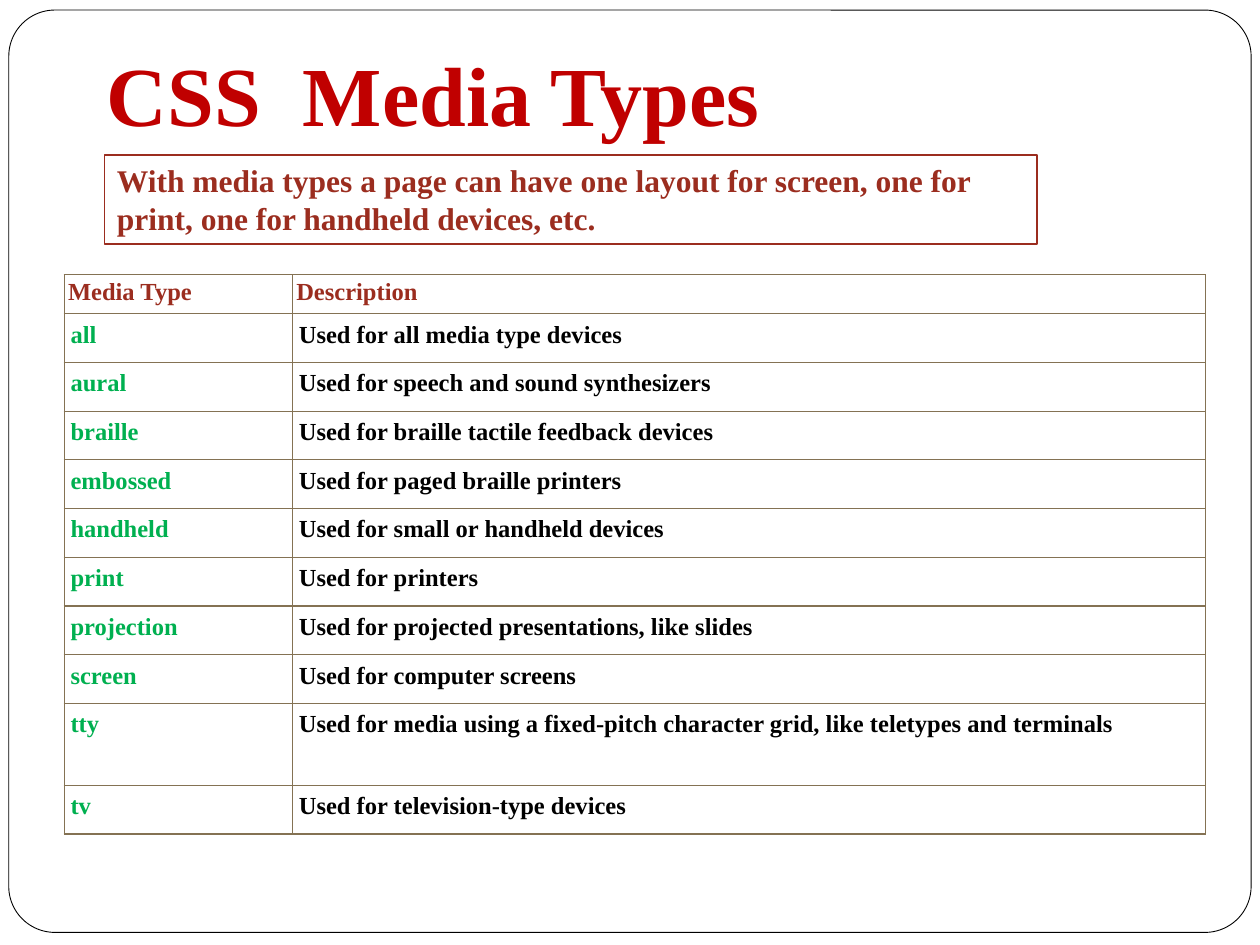
from lxml.etree import SubElement
from pptx import Presentation
from pptx.dml.color import RGBColor
from pptx.enum.shapes import MSO_SHAPE
from pptx.enum.text import MSO_ANCHOR, PP_ALIGN
from pptx.oxml import parse_xml
from pptx.oxml.ns import nsdecls, qn
from pptx.util import Inches, Pt

COLORS = {
    "white": "FFFFFF", "black": "000000", "title": "C00000", "outline": "B41A06",
    "brick": "9B2D1F", "green": "00B050", "border": "847253",
}
MEDIA_TYPES = [
    ("Media Type", "Description"),
    ("all", "Used for all media type devices"),
    ("aural", "Used for speech and sound synthesizers"),
    ("braille", "Used for braille tactile feedback devices"),
    ("embossed", "Used for paged braille printers"),
    ("handheld", "Used for small or handheld devices"),
    ("print", "Used for printers"),
    ("projection", "Used for projected presentations, like slides"),
    ("screen", "Used for computer screens"),
    ("tty", "Used for media using a fixed-pitch character grid, like teletypes and terminals"),
    ("tv", "Used for television-type devices"),
]


def write(text_frame, text, size, color):
    """Put one bold, left-aligned run into the frame and return it."""
    text_frame.word_wrap = True
    paragraph = text_frame.paragraphs[0]
    paragraph.alignment = PP_ALIGN.LEFT
    run = paragraph.add_run()
    run.text = text
    text_format = {"name": "Times New Roman", "size": Pt(size), "bold": True}
    for attribute, value in text_format.items():
        setattr(run.font, attribute, value)
    run.font.color.rgb = RGBColor.from_string(COLORS[color])
    return run


def add_panel(preset, box, line_color, line_width):
    """Add a white outlined shape; box is left, top, width, height in inches."""
    shape = slide.shapes.add_shape(preset, *map(Inches, box))
    shape.shadow.inherit = False
    shape.fill.solid()
    shape.fill.fore_color.rgb = RGBColor.from_string(COLORS["white"])
    shape.line.color.rgb = RGBColor.from_string(COLORS[line_color])
    shape.line.width = Pt(line_width)
    return shape


presentation = Presentation()
presentation.slide_width, presentation.slide_height = Inches(10), Inches(7.5)
slide = presentation.slides.add_slide(presentation.slide_layouts[6])

# Frame, title and introduction
frame = add_panel(MSO_SHAPE.ROUNDED_RECTANGLE, (0.07, 0.08, 9.86, 7.32), "black", 0.5)
frame.adjustments[0] = 0.05

title = slide.shapes.add_textbox(*map(Inches, (0.75, 0.29, 8.98, 0.91)))
title_run = write(title.text_frame, "CSS  Media Types", 48, "title")
title_run.font._element.insert(0, parse_xml(
    f'<a:ln {nsdecls("a")} w="{Pt(1.42)}"><a:solidFill>'
    f'<a:srgbClr val="{COLORS["outline"]}"/></a:solidFill></a:ln>'))

introduction = add_panel(MSO_SHAPE.RECTANGLE, (0.83, 1.23, 7.4, 0.71), "brick", 1)
introduction.text_frame.vertical_anchor = MSO_ANCHOR.TOP
write(introduction.text_frame,
      "With media types a page can have one layout for screen, one for print, "
      "one for handheld devices, etc.", 18, "brick")

# Table: a short header, one tall row, and equal rows for the rest
table_width, table_height = 9.06, 4.44
table = slide.shapes.add_table(
    len(MEDIA_TYPES), 2, Inches(0.51), Inches(2.18),
    Inches(table_width), Inches(table_height)).table
table.first_row = table.horz_banding = False
for column, share in zip(table.columns, (0.2, 0.8)):
    column.width = Inches(table_width * share)

special_heights = {"Media Type": 0.31, "tty": 0.65}
plain_height = ((table_height - sum(special_heights.values()))
                / (len(MEDIA_TYPES) - len(special_heights)))

for row_index, row_texts in enumerate(MEDIA_TYPES):
    table.rows[row_index].height = Inches(special_heights.get(row_texts[0], plain_height))
    is_header = row_index == 0
    text_colors = ("brick", "brick") if is_header else ("green", "black")
    side, edge = (0.03, 0.03) if is_header else (0.05, 0.06)
    cell_format = {
        "margin_left": Inches(side), "margin_right": Inches(side),
        "margin_top": Inches(edge), "margin_bottom": Inches(edge),
        "vertical_anchor": MSO_ANCHOR.TOP,
    }
    for column_index, (text, color) in enumerate(zip(row_texts, text_colors)):
        cell = table.cell(row_index, column_index)
        for attribute, value in cell_format.items():
            setattr(cell, attribute, value)
        write(cell.text_frame, text, 14, color)
        properties = cell._tc.get_or_add_tcPr()
        for border in ("a:lnL", "a:lnR", "a:lnT", "a:lnB"):
            line = SubElement(properties, qn(border), w=str(Pt(0.75)))
            fill = SubElement(line, qn("a:solidFill"))
            SubElement(fill, qn("a:srgbClr"), val=COLORS["border"])
        cell.fill.background()

presentation.save("out.pptx")
